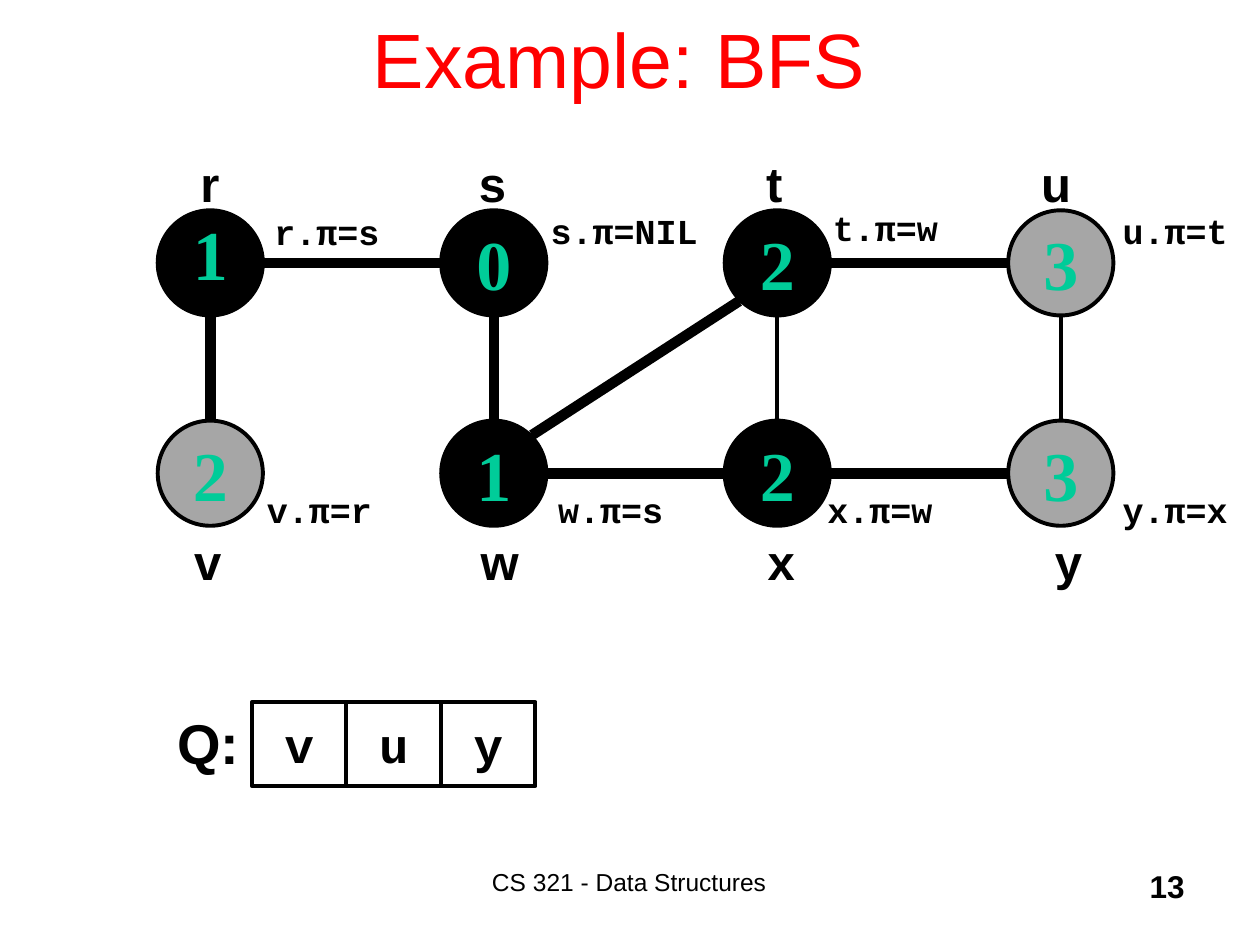
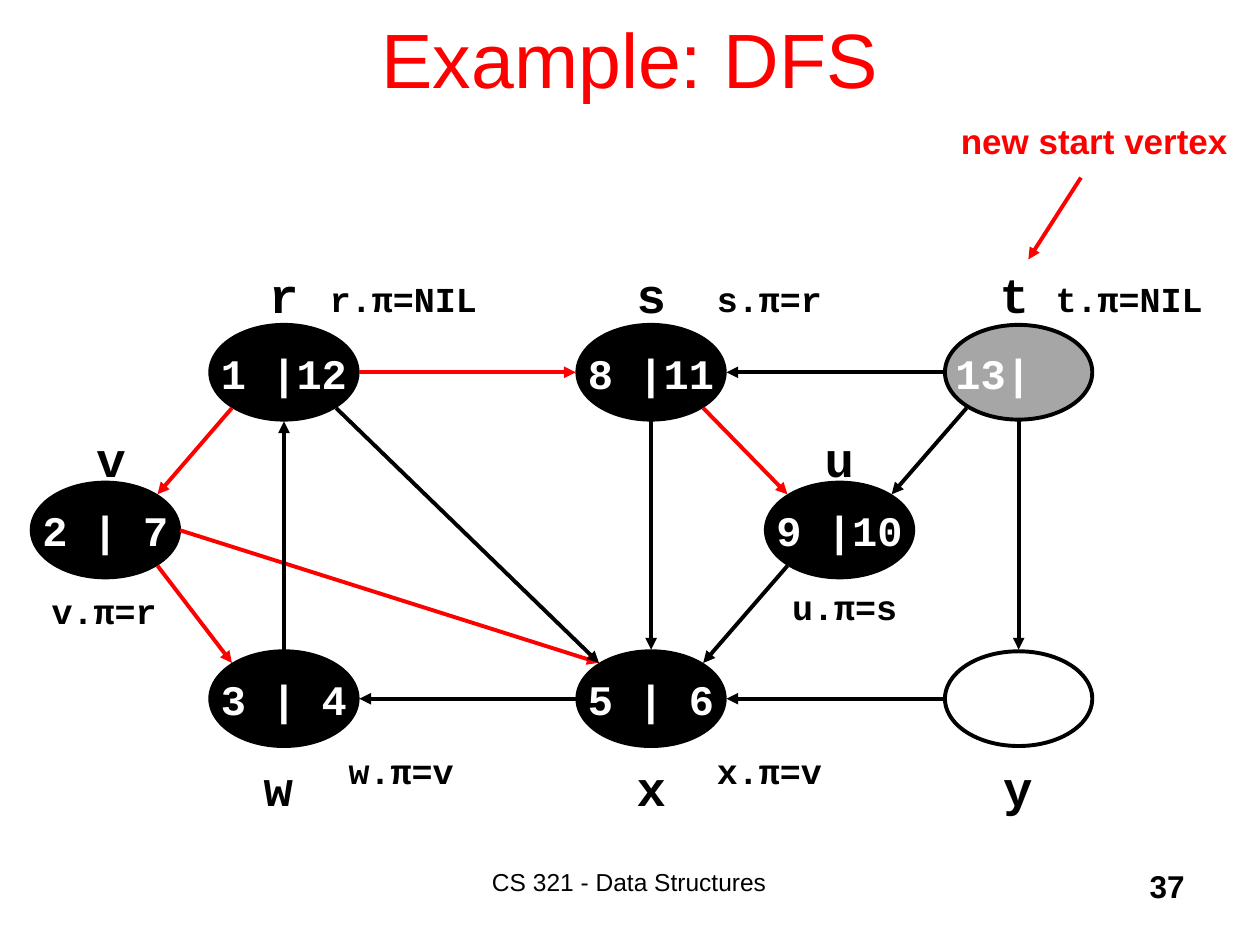
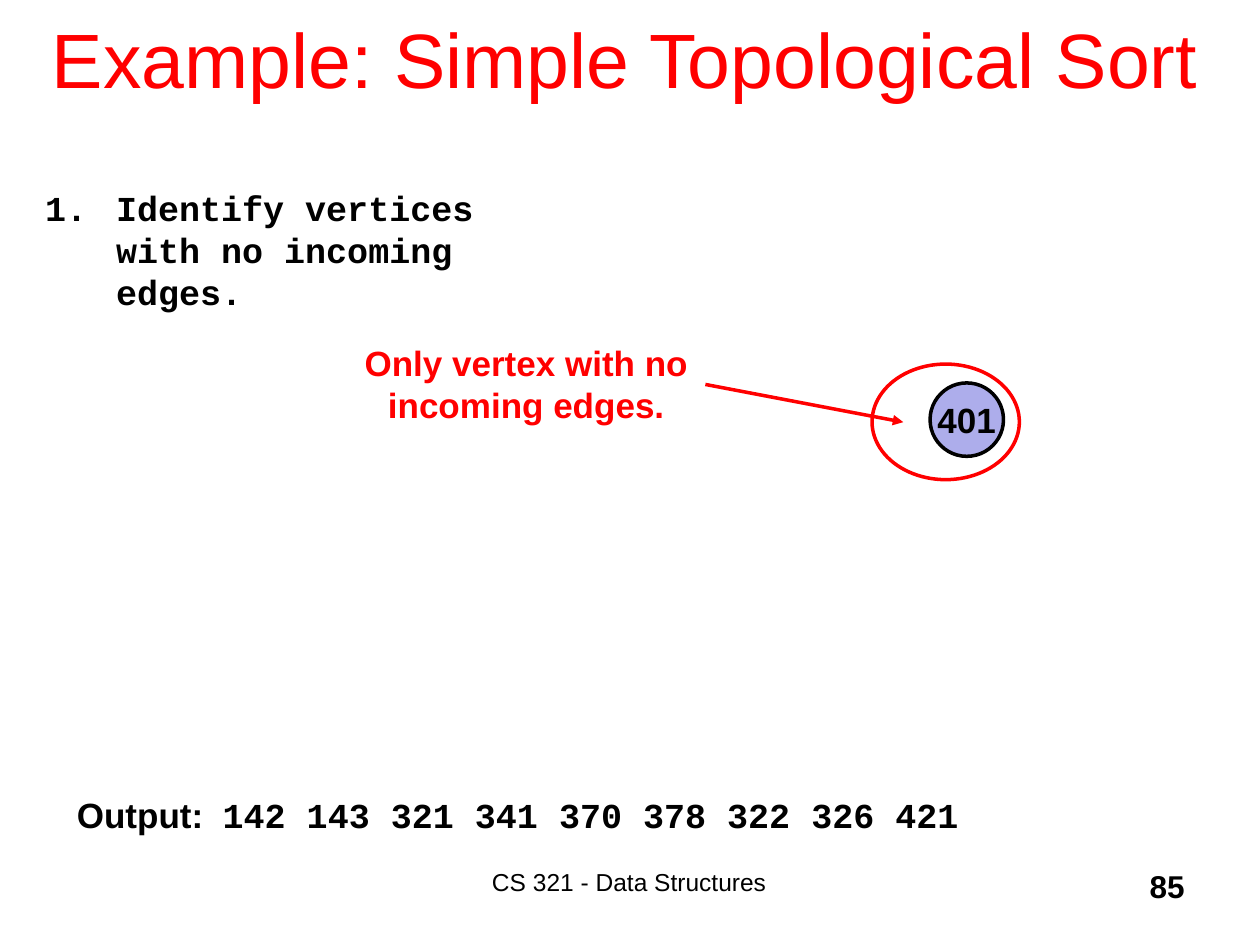
"""Build three graph algorithm slides: BFS, DFS and topological sort."""
from collections import namedtuple
from dataclasses import dataclass

from lxml import etree
from pptx import Presentation
from pptx.dml.color import RGBColor
from pptx.enum.shapes import MSO_CONNECTOR, MSO_SHAPE
from pptx.enum.text import MSO_ANCHOR, MSO_AUTO_SIZE, PP_ALIGN
from pptx.oxml.ns import qn
from pptx.util import Cm, Pt

OVAL, RECTANGLE = MSO_SHAPE.OVAL, MSO_SHAPE.RECTANGLE
STRAIGHT = MSO_CONNECTOR.STRAIGHT
LEFT, CENTER, RIGHT = PP_ALIGN.LEFT, PP_ALIGN.CENTER, PP_ALIGN.RIGHT
TOP, MIDDLE = MSO_ANCHOR.TOP, MSO_ANCHOR.MIDDLE
NO_AUTOFIT = MSO_AUTO_SIZE.NONE

BLACK, WHITE, RED = "000000", "FFFFFF", "FF0000"
GRAY, GREEN, LAVENDER = "A6A6A6", "00CC99", "ADADEB"
SANS, MONO, SERIF = "Arial", "Courier New", "Times New Roman"

TextStyle = namedtuple("TextStyle", "font size color bold before", defaults=(True, 0.2))


@dataclass(frozen=True)
class Theme:
    title: TextStyle = TextStyle(SANS, 44, RED, False, 0)
    footer: TextStyle = TextStyle(SANS, 14, BLACK, False, 0)
    page: TextStyle = TextStyle(SANS, 18, BLACK, True, 0)
    distance: TextStyle = TextStyle(SERIF, 40, GREEN)
    times: TextStyle = TextStyle(MONO, 24, WHITE)
    vertex_sans: TextStyle = TextStyle(SANS, 28, BLACK)
    vertex_mono: TextStyle = TextStyle(MONO, 28, BLACK)
    queue: TextStyle = TextStyle(SANS, 32, BLACK)
    code: TextStyle = TextStyle(MONO, 20, BLACK)
    label: TextStyle = TextStyle(SANS, 20, BLACK)
    callout: TextStyle = TextStyle(SANS, 20, RED)
    thin: float = 2
    normal: float = 2.25
    thick: float = 6


theme = Theme()


def place(slide, box, text, style, preset=None, fill=None, outline=BLACK,
          weight=theme.normal, align=CENTER, anchor=MIDDLE, wrap=False):
    """Add a text box, or a preset shape with text, and return it."""
    lengths = [Cm(length) for length in box]
    if preset is None:
        shape = slide.shapes.add_textbox(*lengths)
    else:
        shape = slide.shapes.add_shape(preset, *lengths)
        shape.shadow.inherit = False
        shape.line.color.rgb = RGBColor.from_string(outline)
        shape.line.width = Pt(weight)
        if fill:
            shape.fill.solid()
            shape.fill.fore_color.rgb = RGBColor.from_string(fill)
        else:
            shape.fill.background()
    frame = shape.text_frame
    frame.word_wrap = wrap
    frame.vertical_anchor = anchor
    if text:
        paragraph = frame.paragraphs[0]
        paragraph.alignment = align
        paragraph.space_before = Pt(style.before * style.size)
        run = paragraph.add_run()
        run.text = text
        run.font.name = style.font
        run.font.size = Pt(style.size)
        run.font.bold = style.bold
        run.font.color.rgb = RGBColor.from_string(style.color)
    return shape


def connect(slide, start, end, color=BLACK, weight=theme.normal, arrow=True):
    """Draw a straight edge, with an arrowhead at its end if wanted."""
    edge = slide.shapes.add_connector(STRAIGHT, *[Cm(length) for length in (*start, *end)])
    edge.line.color.rgb = RGBColor.from_string(color)
    edge.line.width = Pt(weight)
    if arrow:
        etree.SubElement(edge.line._get_or_add_ln(), qn("a:tailEnd"), type="triangle")
    etree.SubElement(edge._element.spPr, qn("a:effectLst"))


deck = Presentation()
deck.slide_width, deck.slide_height = Cm(25.4), Cm(19.05)
title_only = deck.slide_layouts[5]

slides = []
for heading, page, title_left, title_width in [
    ("Example: BFS ", "13", 1.9, 21.6),
    ("Example: DFS", "37", 1.9, 21.6),
    ("Example: Simple Topological Sort", "85", 0.64, 23.93),
]:
    slide = deck.slides.add_slide(title_only)
    title = slide.shapes.title
    title.left, title.top = Cm(title_left), Cm(-0.43)
    title.width, title.height = Cm(title_width), Cm(3.18)
    title.text_frame.auto_size = NO_AUTOFIT
    title.text_frame.vertical_anchor = MIDDLE
    title.text_frame.paragraphs[0].alignment = CENTER
    title_run = title.text_frame.paragraphs[0].add_run()
    title_run.text = heading
    title_run.font.name = theme.title.font
    title_run.font.size = Pt(theme.title.size)
    title_run.font.bold = theme.title.bold
    title_run.font.color.rgb = RGBColor.from_string(theme.title.color)
    place(slide, (7.82, 17.35, 9.73, 1.27), "CS 321 - Data Structures", theme.footer,
          anchor=TOP, wrap=True)
    place(slide, (18.85, 17.35, 5.28, 1.27), page, theme.page,
          align=RIGHT, anchor=TOP, wrap=True)
    slides.append(slide)
bfs, dfs, topological = slides

name_width, name_height, code_height = 1.1, 1.45, 1.12

diameter = 2.12
bfs_name_tops = (2.97, 10.59)
bfs_centers = {}
for name, column, row, distance, fill, name_center, parent, parent_left, parent_top in [
    ("r", 0, 0, "1", BLACK, 4.23, "s", 5.28, 4.11),
    ("s", 1, 0, "0", BLACK, 9.93, "NIL", 10.85, 4.09),
    ("t", 2, 0, "2", BLACK, 15.61, "w", 16.54, 4.04),
    ("u", 3, 0, "3", GRAY, 21.29, "t", 22.38, 4.09),
    ("v", 0, 1, "2", GRAY, 4.19, "r", 5.13, 9.73),
    ("w", 1, 1, "1", BLACK, 9.99, "s", 11, 9.73),
    ("x", 2, 1, "2", BLACK, 15.75, "w", 16.43, 9.73),
    ("y", 3, 1, "3", GRAY, 21.54, "x", 22.38, 9.73),
]:
    left, top = 3.18 + 5.715 * column, 4.24 + 4.24 * row
    bfs_centers[name] = (left + diameter / 2, top + diameter / 2)
    vertex = place(bfs, (left, top, diameter, diameter), distance, theme.distance, OVAL, fill)
    if name == "r":
        vertex.text_frame.paragraphs[0].line_spacing = 0.7
    place(bfs, (name_center - name_width / 2, bfs_name_tops[row], name_width, name_height),
          name, theme.vertex_sans, anchor=TOP)
    predecessor = f"{name}.π={parent}"
    place(bfs, (parent_left, parent_top, 0.5 * len(predecessor) + 0.25, code_height),
          predecessor, theme.code, align=LEFT, anchor=TOP, wrap=True)

for pair, weight in [
    ("vr", theme.thick), ("rs", theme.thick), ("sw", theme.thick), ("wt", theme.thick),
    ("wx", theme.thick), ("xt", theme.normal), ("tu", theme.thick), ("xy", theme.thick),
    ("yu", theme.normal),
]:
    (x1, y1), (x2, y2) = bfs_centers[pair[0]], bfs_centers[pair[1]]
    across, down = (x2 > x1) - (x2 < x1), (y2 > y1) - (y2 < y1)
    reach = 0.77 if across and down else 1.09
    connect(bfs, (x1 + across * reach, y1 + down * reach),
            (x2 - across * reach, y2 - down * reach), weight=weight, arrow=False)

place(bfs, (3.25, 14.12, 1.91, 1.7), "Q:", theme.queue)
for position, queued in enumerate("vuy"):
    place(bfs, (5.08 + 1.905 * position, 14.15, 1.905, 1.7), queued, theme.vertex_mono, RECTANGLE)

oval_width, oval_height = 2.97, 1.91
dfs_tops = (6.55, 9.73, 13.13)
dfs_name_tops = (5.21, 8.51, 15.14)
dfs_centers = {}
for name, left, row, times, fill, name_center, parent, parent_left, parent_top in [
    ("r", 4.24, 0, "1 |12", BLACK, 5.72, "NIL", 6.4, 5.46),
    ("s", 11.64, 0, "8 |11", BLACK, 13.13, "r", 14.2, 5.46),
    ("t", 19.05, 0, "13|", GRAY, 20.45, "NIL", 21.03, 5.46),
    ("u", 15.44, 1, "9 |10", BLACK, 16.92, "s", 15.72, 11.68),
    ("v", 0.64, 1, "2 | 7", BLACK, 2.24, "r", 0.79, 11.76),
    ("w", 4.24, 2, "3 | 4", BLACK, 5.61, "v", 6.78, 14.99),
    ("x", 11.64, 2, "5 | 6", BLACK, 13.13, "v", 14.2, 14.99),
    ("y", 19.05, 2, "", None, 20.52, "", 0, 0),
]:
    top = dfs_tops[row]
    dfs_centers[name] = (left + oval_width / 2, top + oval_height / 2)
    vertex = place(dfs, (left, top, oval_width, oval_height), times, theme.times, OVAL, fill)
    vertex.text_frame.margin_left = 0
    vertex.text_frame.margin_right = Cm(1.02) if name == "t" else 0
    place(dfs, (name_center - name_width / 2, dfs_name_tops[row], name_width, name_height),
          name, theme.vertex_mono, anchor=TOP)
    if parent:
        predecessor = f"{name}.π={parent}"
        place(dfs, (parent_left, parent_top, 0.5 * len(predecessor) + 0.25, code_height),
              predecessor, theme.code, align=LEFT, anchor=TOP, wrap=True)

connect(dfs, (3.63, 10.69), (12.07, 13.36), RED)
for pair, color in [
    ("rv", RED), ("vw", RED), ("xw", BLACK), ("wr", BLACK), ("rx", BLACK), ("sx", BLACK),
    ("rs", RED), ("ts", BLACK), ("su", RED), ("tu", BLACK), ("ty", BLACK), ("yx", BLACK),
    ("ux", BLACK),
]:
    (x1, y1), (x2, y2) = dfs_centers[pair[0]], dfs_centers[pair[1]]
    across, down = (x2 > x1) - (x2 < x1), (y2 > y1) - (y2 < y1)
    reach_x, reach_y = (1.05, 0.72) if across and down else (1.52, 0.99)
    connect(dfs, (x1 + across * reach_x, y1 + down * reach_y),
            (x2 - across * reach_x, y2 - down * reach_y), color)

place(dfs, (19.1, 2.29, 5.92, code_height), "new start vertex", theme.callout, anchor=TOP)
connect(dfs, (21.79, 3.58), (20.73, 5.23), RED)

place(topological, (18.75, 7.72, 1.48, 1.48), "401", theme.label, OVAL, LAVENDER,
      weight=theme.thin)
place(topological, (17.58, 7.34, 2.97, 2.33), "", theme.label, OVAL, outline=RED,
      weight=theme.thin)
connect(topological, (14.22, 7.75), (18.21, 8.51), RED, theme.thin)
place(topological, (6.99, 6.76, 7.24, 1.96), "Only vertex with no incoming edges.",
      theme.callout, anchor=TOP, wrap=True)

step = place(topological, (0.66, 3.63, 9.25, 2.82), "Identify vertices with no incoming edges.",
             theme.code, align=LEFT, anchor=TOP, wrap=True)
step_properties = step.text_frame.paragraphs[0]._p.get_or_add_pPr()
step_properties.set("marL", str(Cm(1.43)))
step_properties.set("indent", str(Cm(-1.43)))
etree.SubElement(step_properties, qn("a:buAutoNum"), type="arabicPeriod")

for left, width, text, style in [
    (1.3, 4.37, "Output:", theme.label),
    (4.24, 20.24, "142 143 321 341 370 378 322 326 421", theme.code),
]:
    place(topological, (left, 15.88, width, code_height), text, style,
          align=LEFT, anchor=TOP, wrap=True)

deck.save("out.pptx")
